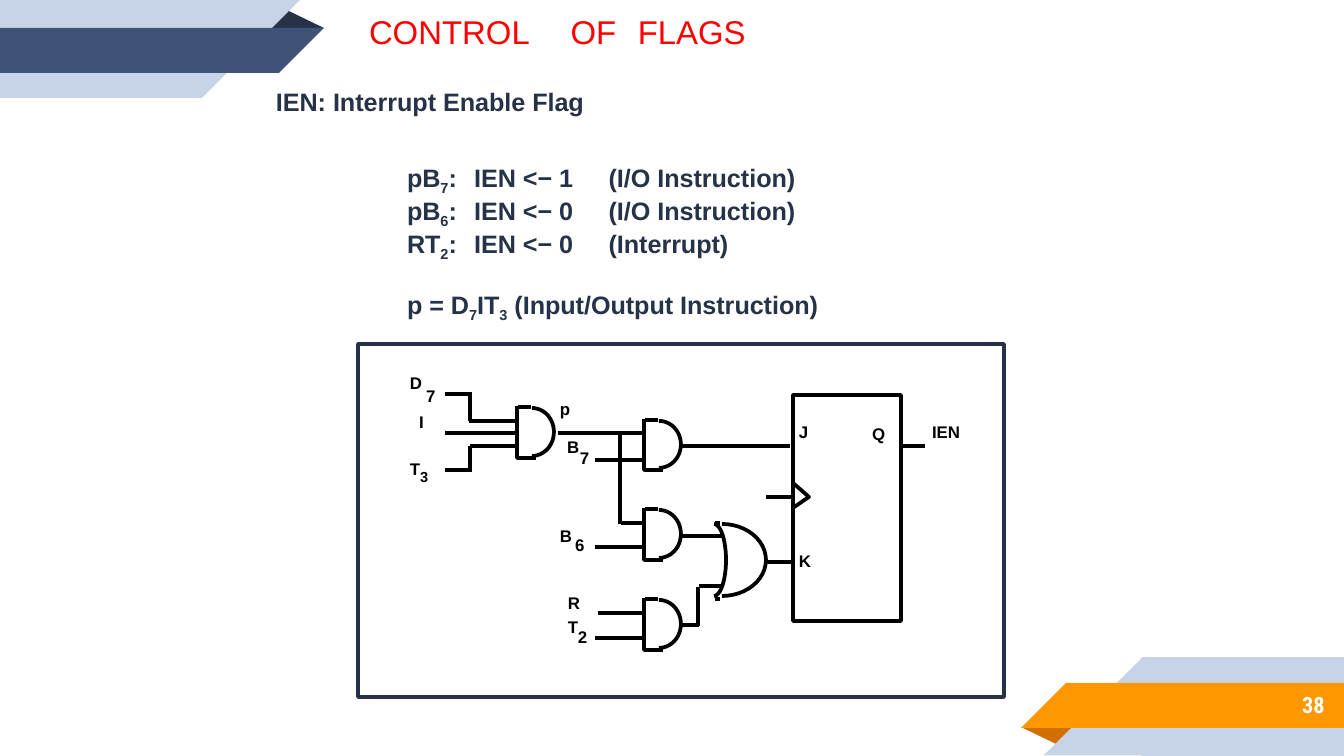
from math import cos, pi, sin

from lxml import etree
from pptx import Presentation
from pptx.dml.color import RGBColor
from pptx.enum.shapes import MSO_CONNECTOR, MSO_SHAPE
from pptx.enum.text import MSO_ANCHOR, MSO_AUTO_SIZE, PP_ALIGN
from pptx.oxml.ns import qn
from pptx.util import Pt

PX = 9144000 / 1344
RECT = MSO_SHAPE.RECTANGLE
RIGHT = MSO_SHAPE.RIGHT_TRIANGLE
TRI = MSO_SHAPE.ISOSCELES_TRIANGLE
LINE = MSO_CONNECTOR.STRAIGHT
LEFT, END = PP_ALIGN.LEFT, PP_ALIGN.RIGHT
TOP, MID = MSO_ANCHOR.TOP, MSO_ANCHOR.MIDDLE
FIXED = MSO_AUTO_SIZE.NONE
NAVY, BLACK, PALE = "263248", "000000", "C7D3E6"
hue = RGBColor.from_string

deck = Presentation()
deck.slide_width, deck.slide_height = round(1344 * PX), round(756 * PX)
slide = deck.slides.add_slide(deck.slide_layouts[1])
shapes = slide.shapes


def write(para, text, size, color, space, tabs=(), bold=True, face="Arial"):
    """Write runs split at bars; every second one is a subscript."""
    para.alignment, para.line_spacing, para.space_before = LEFT, space, Pt(0)
    props = para._p.get_or_add_pPr()
    props.set("marL", "0")
    props.set("indent", "0")
    etree.SubElement(props, qn("a:buNone"))
    if tabs:
        stops = etree.SubElement(props, qn("a:tabLst"))
        for stop in tabs:
            etree.SubElement(stops, qn("a:tab"), pos=str(round(stop * PX)), algn="l")
    for i, part in enumerate(text.split("|")):
        run = para.add_run()
        run.text = part
        font = run.font
        font.name, font.size, font.bold = face, Pt(size), bold
        font.color.rgb = hue(color)
        if i % 2:
            font.size = Pt(13.5)
            font._element.set("baseline", "-25000")


def draw(points):
    """Draw an open black outline through points in px."""
    spots = [(round(x * PX), round(y * PX)) for x, y in points]
    pen = shapes.build_freeform(*spots[0])
    pen.add_line_segments(spots[1:], close=False)
    shape = pen.convert_to_shape()
    shape.shadow.inherit = False
    shape.fill.background()
    shape.line.color.rgb, shape.line.width = hue(BLACK), Pt(2)


# Corner ribbons: kind, left, top, width, height, turn, fill
for kind, x, y, w, h, turn, fill in [
    (TRI, 266, 9, 58, 19, 0, NAVY),
    (RECT, 0, 0, 202, 98, 0, PALE),
    (RIGHT, 202, 0, 98, 98, 90, PALE),
    (RECT, 0, 28, 279, 45, 0, "3F5378"),
    (RIGHT, 279, 28, 45, 45, 90, "3F5378"),
    (TRI, 1021, 727, 58, 19, 180, "D26F00"),
    (RECT, 1142, 657, 202, 99, 0, PALE),
    (RIGHT, 1044, 657, 98, 99, 270, PALE),
    (RECT, 1066, 683, 278, 45, 0, "FF9800"),
    (RIGHT, 1021, 683, 45, 45, 270, "FF9800"),
]:
    band = shapes.add_shape(kind, *[round(v * PX) for v in (x, y, w, h)])
    band.shadow.inherit = False
    band.rotation = turn
    if kind == TRI:
        band.adjustments[0] = 0.324
    band.fill.solid()
    band.fill.fore_color.rgb = hue(fill)
    band.line.fill.background()

# Title and equations
title, body = shapes.title, slide.placeholders[1]
for holder, box, pad in [
    (title, (356, 13, 438, 47), (13, 7)),
    (body, (400, 159, 436, 170), (7, 3)),
]:
    holder.left, holder.top, holder.width, holder.height = [round(v * PX) for v in box]
    frame = holder.text_frame
    frame.auto_size, frame.word_wrap, frame.vertical_anchor = FIXED, True, TOP
    frame.margin_left = frame.margin_right = round(pad[0] * PX)
    frame.margin_top = frame.margin_bottom = round(pad[1] * PX)
write(title.text_frame.paragraphs[0], "CONTROL\tOF\tFLAGS", 17.6, "FF0000", 0.77,
      (176, 240), bold=False)

frame = body.text_frame
for i, text in enumerate([
    "pB|7|:\tIEN <− 1\t(I/O Instruction)",
    "pB|6|:\tIEN <− 0\t(I/O Instruction)",
    "RT|2|:\tIEN <− 0\t(Interrupt)",
    "p = D|7|IT|3| (Input/Output Instruction)",
]):
    para = frame.add_paragraph() if i else frame.paragraphs[0]
    write(para, text, 13.5, NAVY, 0.96, (78, 191))
para.space_before = Pt(15)

# Slide number
box = shapes.add_textbox(*[round(v * PX) for v in (1120, 681, 218, 48)])
frame = box.text_frame
frame.word_wrap, frame.vertical_anchor = True, MID
write(frame.paragraphs[0], "38", 12, "FFFFFF", 1.0, face="Roboto Condensed")
frame.paragraphs[0].alignment = END

# Frame and flip-flop
for x, y, w, h, color in [(358, 344, 646, 353, NAVY), (793, 395, 108, 226, BLACK)]:
    block = shapes.add_shape(RECT, *[round(v * PX) for v in (x, y, w, h)])
    block.shadow.inherit = False
    block.fill.background()
    block.line.color.rgb, block.line.width = hue(color), Pt(2)
draw([(793, 483), (809, 497), (793, 508)])

# AND gates and curves: centre x, centre y, radius x, radius y
wires = [(715, 523, 720, 523), (715, 599, 720, 599)]
curves = [(722, 560, 44, 36), (714, 560, 12, 36)]
for x, y, h in [(517, 406, 52), (644, 419, 51), (644, 508, 52), (644, 598, 52)]:
    draw([(x, y), (x, y + h), (x + 19, y + h)])
    wires.append((x + 1, y + 1, x + 14, y + 1))
    curves.append((x + 15, y + h / 2, 22, h / 2 - 2))
for x, y, a, b in curves:
    turns = [pi * (i / 24 - 0.5) for i in range(25)]
    draw([(x + a * cos(t), y + b * sin(t)) for t in turns])

# Wires
wires += [
    (519, 421, 469, 421), (519, 433, 445, 433), (519, 446, 470, 446),
    (470, 395, 470, 421), (472, 394, 445, 394),
    (470, 472, 470, 446), (472, 470, 445, 470),
    (558, 433, 642, 433), (645, 460, 595, 460), (620, 434, 620, 524),
    (621, 523, 642, 523), (645, 547, 595, 547),
    (598, 613, 642, 613), (645, 638, 595, 638),
    (681, 536, 723, 536), (699, 586, 723, 586),
    (681, 625, 699, 625), (698, 587, 698, 626),
    (767, 562, 793, 562), (681, 446, 790, 446),
    (793, 497, 766, 497), (903, 446, 925, 446),
]
for ends in wires:
    wire = shapes.add_connector(LINE, *[round(v * PX) for v in ends])
    wire.line.color.rgb, wire.line.width = hue(BLACK), Pt(2)
    etree.SubElement(wire._element.spPr, qn("a:effectLst"))

# Heading and signal labels: text, left, top, width, height, size, color
labels = [("IEN: Interrupt Enable Flag", 267, 85, 332, 38, 13.5, NAVY)]
labels += [(*spot, 28, 9, BLACK) for spot in [
    ("D", 401, 370, 32), ("7", 417, 383, 30), ("I", 410, 409, 26),
    ("T|3", 401, 446, 40), ("p", 551, 396, 31),
    ("B", 558, 434, 32), ("7", 571, 445, 30),
    ("B", 551, 523, 32), ("6", 566, 532, 30),
    ("R", 559, 590, 32), ("T", 559, 614, 31), ("2", 569, 624, 30),
    ("J", 790, 419, 30), ("K", 790, 548, 32), ("Q", 863, 421, 34),
    ("IEN", 923, 419, 48),
]]
for text, x, y, w, h, size, color in labels:
    box = shapes.add_textbox(*[round(v * PX) for v in (x, y, w, h)])
    frame = box.text_frame
    frame.word_wrap = False
    frame.margin_left = frame.margin_right = round(9 * PX)
    frame.margin_top = frame.margin_bottom = round(5 * PX)
    write(frame.paragraphs[0], text, size, color, 0.9)

deck.save("out.pptx")
